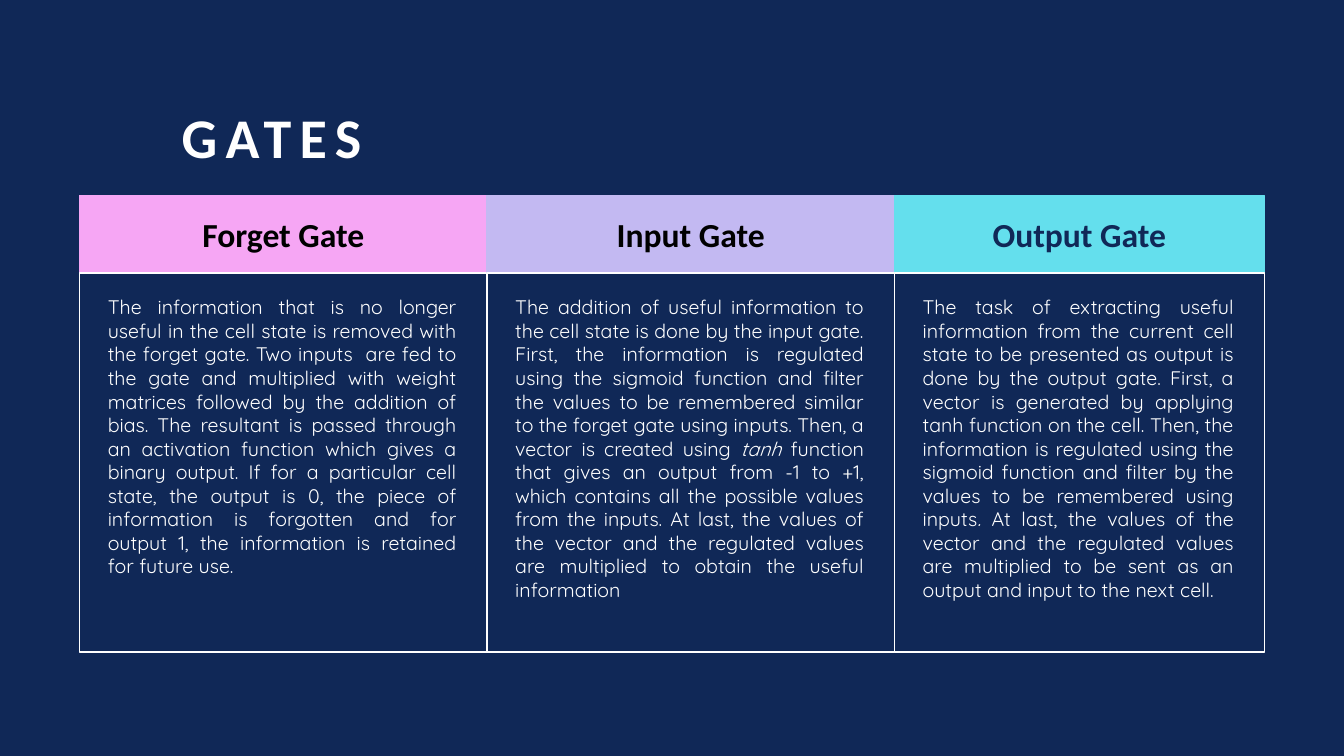
"""Build a slide that compares the forget, input and output gates."""
import pptx
import pptx.dml.color
import pptx.enum.shapes
import pptx.enum.text
import pptx.util

Pt = pptx.util.Pt
RGBColor = pptx.dml.color.RGBColor
ALIGN = pptx.enum.text.PP_ALIGN
ANCHOR = pptx.enum.text.MSO_ANCHOR

NAVY = RGBColor(0x10, 0x28, 0x57)
WHITE = RGBColor(0xFF, 0xFF, 0xFF)
BLACK = RGBColor(0x00, 0x00, 0x00)
PINK = RGBColor(0xF6, 0xA6, 0xF4)
LILAC = RGBColor(0xC3, 0xB9, 0xF2)
CYAN = RGBColor(0x64, 0xDF, 0xED)

TITLE_FONT = {"name": "Calibri", "size": Pt(40), "bold": True}
HEADING_FONT = {"name": "Calibri", "size": Pt(24), "bold": True}
BODY_FONT = {"name": "Quicksand", "size": Pt(14), "bold": False}
HEADING_FRAME = {"word_wrap": True, "vertical_anchor": ANCHOR.MIDDLE}
BODY_FRAME = {
    "word_wrap": True,
    "vertical_anchor": ANCHOR.TOP,
    "margin_left": Pt(20.16),
    "margin_top": Pt(15.84),
    "margin_right": Pt(21.6),
    "margin_bottom": Pt(3.6),
}

LEFT, TOP = 56.9, 139.7
HEADING_HEIGHT, BODY_HEIGHT = 55.4, 270.7

GATES = [
    ("Forget Gate", 291, PINK, BLACK, [
        ("The information that is no longer useful in the cell state is removed "
         "with the forget gate. Two inputs  are fed to the gate and multiplied "
         "with weight matrices followed by the addition of bias. The resultant is "
         "passed through an activation function which gives a binary output. If "
         "for a particular cell state, the output is 0, the piece of information "
         "is forgotten and for output 1, the information is retained for future "
         "use.", False),
    ]),
    ("Input Gate", 291, LILAC, BLACK, [
        ("The addition of useful information to the cell state is done by the "
         "input gate. First, the information is regulated using the sigmoid "
         "function and filter the values to be remembered similar to the forget "
         "gate using inputs. Then, a vector is created using", False),
        (" tanh ", True),
        ("function that gives an output from -1 to +1, which contains all the "
         "possible values from the inputs. At last, the values of the vector and "
         "the regulated values are multiplied to obtain the useful information",
         False),
    ]),
    ("Output Gate", 264.2, CYAN, NAVY, [
        ("The task of extracting useful information from the current cell state "
         "to be presented as output is done by the output gate. First, a vector "
         "is generated by applying tanh function on the cell. Then, the "
         "information is regulated using the sigmoid function and filter by the "
         "values to be remembered using inputs", False),
        (". ", True),
        ("At last, the values of the vector and the regulated values are "
         "multiplied to be sent as an output and input to the next cell.", False),
    ]),
]


def write(frame, runs, align, font_format, color, frame_format):
    """Format a text frame and fill its first paragraph with runs."""
    for key, value in frame_format.items():
        setattr(frame, key, value)
    paragraph = frame.paragraphs[0]
    paragraph.alignment = align
    for text, italic in runs:
        run = paragraph.add_run()
        run.text = text
        for key, value in {**font_format, "italic": italic}.items():
            setattr(run.font, key, value)
        run.font.color.rgb = color
    return paragraph


def add_cell(left, top, width, height, fill, line):
    """Add a rectangle, unfilled when fill is None."""
    cell = slide.shapes.add_shape(
        pptx.enum.shapes.MSO_SHAPE.RECTANGLE, Pt(left), Pt(top), Pt(width), Pt(height))
    cell.shadow.inherit = False
    if fill is None:
        cell.fill.background()
    else:
        cell.fill.solid()
        cell.fill.fore_color.rgb = fill
    cell.line.color.rgb = line
    cell.line.width = Pt(1)
    return cell.text_frame


presentation = pptx.Presentation()
presentation.slide_width = Pt(960)
presentation.slide_height = Pt(540)
slide = presentation.slides.add_slide(presentation.slide_layouts[5])
slide.background.fill.solid()
slide.background.fill.fore_color.rgb = NAVY

title = slide.shapes.title
title.left, title.top, title.width, title.height = Pt(-74.9), Pt(69.8), Pt(537.8), Pt(55.4)
heading = write(title.text_frame, [("GATES", False)], ALIGN.CENTER, TITLE_FONT, WHITE,
                {"word_wrap": True, "vertical_anchor": ANCHOR.BOTTOM})
heading.line_spacing = 0.9
heading.runs[0].font._element.set("spc", "600")

left = LEFT
for name, width, fill, name_color, description in GATES:
    name_frame = add_cell(left, TOP, width, HEADING_HEIGHT, fill, fill)
    write(name_frame, [(name, False)], ALIGN.CENTER, HEADING_FONT, name_color, HEADING_FRAME)
    body_frame = add_cell(left, TOP + HEADING_HEIGHT, width, BODY_HEIGHT, None, WHITE)
    write(body_frame, description, ALIGN.JUSTIFY, BODY_FONT, WHITE, BODY_FRAME)
    left += width

presentation.save("out.pptx")
